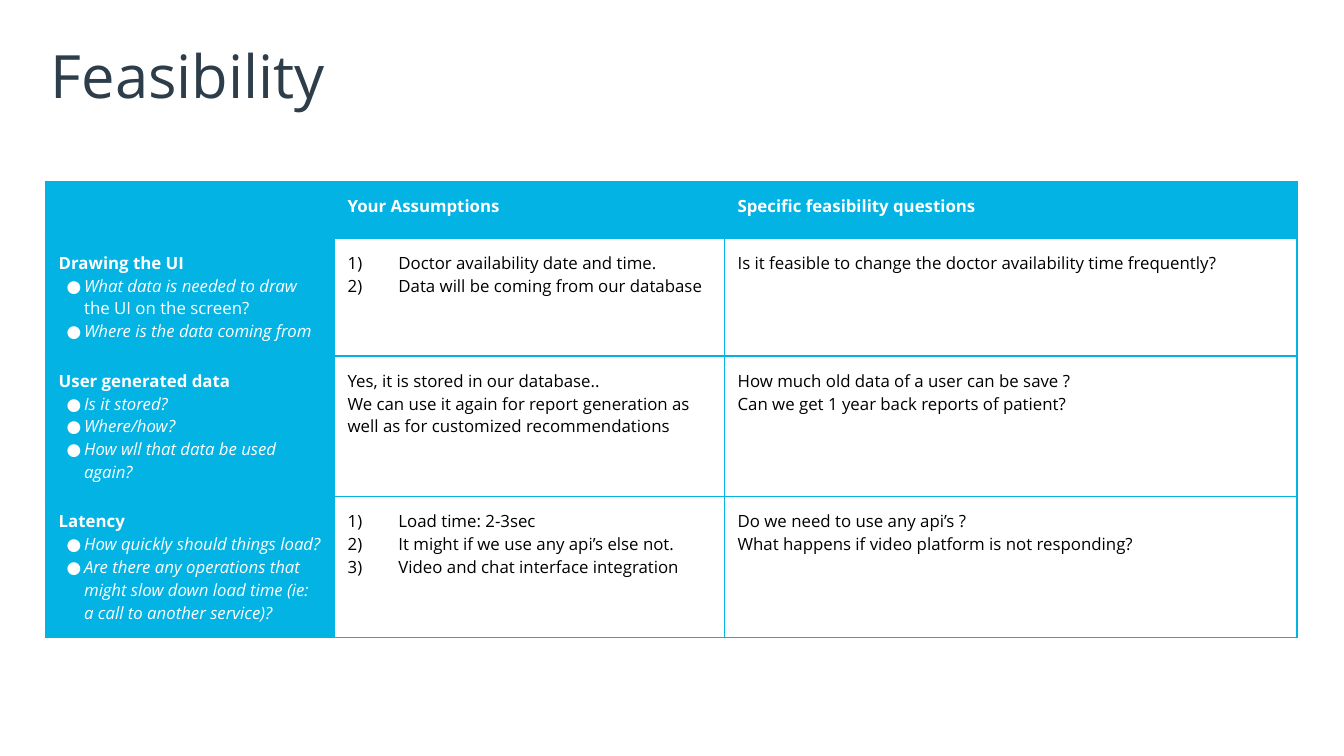
"""Build the feasibility slide with its table of assumptions and questions."""
from lxml import etree
from pptx import Presentation
from pptx.dml.color import RGBColor
from pptx.enum.text import MSO_ANCHOR, MSO_AUTO_SIZE, PP_ALIGN
from pptx.oxml.ns import qn
from pptx.util import Cm, Pt

MIDDLE = MSO_ANCHOR.MIDDLE
TOP = MSO_ANCHOR.TOP
FIXED = MSO_AUTO_SIZE.NONE
LEFT = PP_ALIGN.LEFT
WIDTHS = (5.46, 7.37, 10.82)
HEIGHTS = (1.07, 2.23, 2.66, 2.66)
BLUE, WHITE, BLACK, NAVY = "02B3E4", "FFFFFF", "000000", "2D3D4A"
INDENTS = {"dot": (0.48, 0.33), "num": (0.96, 0.96)}

ROWS = [
    [[], [("head", "Your Assumptions")],
     [("head", "Specific feasibility questions")]],
    [[("head", "Drawing the UI"),
      ("dot", "What data is needed to draw ", "the UI on the screen?"),
      ("dot", "Where is the data coming from")],
     [("num", "Doctor availability date and time."),
      ("num", "Data will be coming from our database")],
     [("text", "Is it feasible to change the doctor availability time frequently?")]],
    [[("head", "User generated data"),
      ("dot", "Is it stored?"),
      ("dot", "Where/how?"),
      ("dot", "How wll that data be used again?")],
     [("text", "Yes, it is stored in our database.."),
      ("text", "We can use it again for report generation as well as for "
               "customized recommendations")],
     [("text", "How much old data of a user can be save ?"),
      ("text", "Can we get 1 year back reports of patient?")]],
    [[("head", "Latency"),
      ("dot", "How quickly should things load?"),
      ("dot", "Are there any operations that might slow down load time "
              "(ie: a call to another service)?")],
     [("num", "Load time: 2-3sec"),
      ("num", "It might if we use any api’s else not."),
      ("num", "Video and chat interface integration")],
     [("text", "Do we need to use any api’s ?"),
      ("text", "What happens if video platform is not responding?")]],
]


def color(code):
    return RGBColor.from_string(code)


def tint(node, code):
    etree.SubElement(node, qn("a:srgbClr"), val=code)


class Deck:
    def __init__(self, show):
        self.face = "Open Sans"
        self.size = 9
        self.slide = show.slides.add_slide(show.slide_layouts[5])

    def style(self, para, size, code, bold=False):
        para.alignment = LEFT
        para.space_before = Pt(0)
        font = para.font
        font.name, font.size, font.bold = self.face, Pt(size), bold
        font.color.rgb = color(code)

    def title(self, text, left, top, width, height):
        shape = self.slide.shapes.title
        shape.left, shape.top = Cm(left), Cm(top)
        shape.width, shape.height = Cm(width), Cm(height)
        frame = shape.text_frame
        frame.text = text
        frame.auto_size = FIXED
        frame.vertical_anchor = MIDDLE
        frame.margin_left = frame.margin_right = Cm(0.1)
        frame.margin_top = frame.margin_bottom = Cm(0.1)
        self.style(frame.paragraphs[0], 32, NAVY)

    def bullet(self, para, kind, code):
        left, hang = INDENTS[kind]
        props = para._p.get_or_add_pPr()
        props.set("marL", str(Cm(left)))
        props.set("indent", str(-Cm(hang)))
        tint(etree.SubElement(props, qn("a:buClr")), code)
        if kind == "dot":
            etree.SubElement(props, qn("a:buFont"), typeface=self.face)
            etree.SubElement(props, qn("a:buChar"), char="●")
        else:
            etree.SubElement(props, qn("a:buAutoNum"), type="arabicParenR")

    def border(self, cell):
        props = cell._tc.get_or_add_tcPr()
        for side in ("lnL", "lnR", "lnT", "lnB"):
            line = etree.SubElement(props, qn(f"a:{side}"), w=str(Pt(0.75)))
            tint(etree.SubElement(line, qn("a:solidFill")), BLUE)

    def cell(self, cell, items, filled):
        self.border(cell)
        if filled:
            cell.fill.solid()
            cell.fill.fore_color.rgb = color(BLUE)
        else:
            cell.fill.background()
        cell.vertical_anchor = TOP
        cell.margin_left = cell.margin_right = Cm(0.25)
        cell.margin_top = cell.margin_bottom = Cm(0.25)
        frame = cell.text_frame
        code = WHITE if filled else BLACK
        for i, (kind, *parts) in enumerate(items):
            para = frame.add_paragraph() if i else frame.paragraphs[0]
            if kind in INDENTS:
                self.bullet(para, kind, code)
            self.style(para, self.size, code, kind == "head")
            for j, part in enumerate(parts):
                run = para.add_run()
                run.text = part
                run.font.italic = kind == "dot" and j == 0
        if not items:
            para = frame.paragraphs[0]
            etree.SubElement(para._p, qn("a:endParaRPr"), sz=str(self.size * 100))

    def table(self, rows, left, top):
        frame = self.slide.shapes.add_table(
            len(rows), len(WIDTHS), Cm(left), Cm(top),
            Cm(sum(WIDTHS)), Cm(sum(HEIGHTS)))
        table = frame.table
        table.first_row = table.horz_banding = False
        for col, width in zip(table.columns, WIDTHS):
            col.width = Cm(width)
        for row, height in zip(table.rows, HEIGHTS):
            row.height = Cm(height)
        for r, row in enumerate(rows):
            for c, items in enumerate(row):
                self.cell(table.cell(r, c), items, r == 0 or c == 0)


def main():
    show = Presentation()
    show.slide_width, show.slide_height = Cm(25.4), Cm(14.29)
    deck = Deck(show)
    deck.title("Feasibility", 0.86, 0.61, 23.67, 1.6)
    deck.table(ROWS, 0.86, 3.43)
    show.save("out.pptx")


if __name__ == "__main__":
    main()
